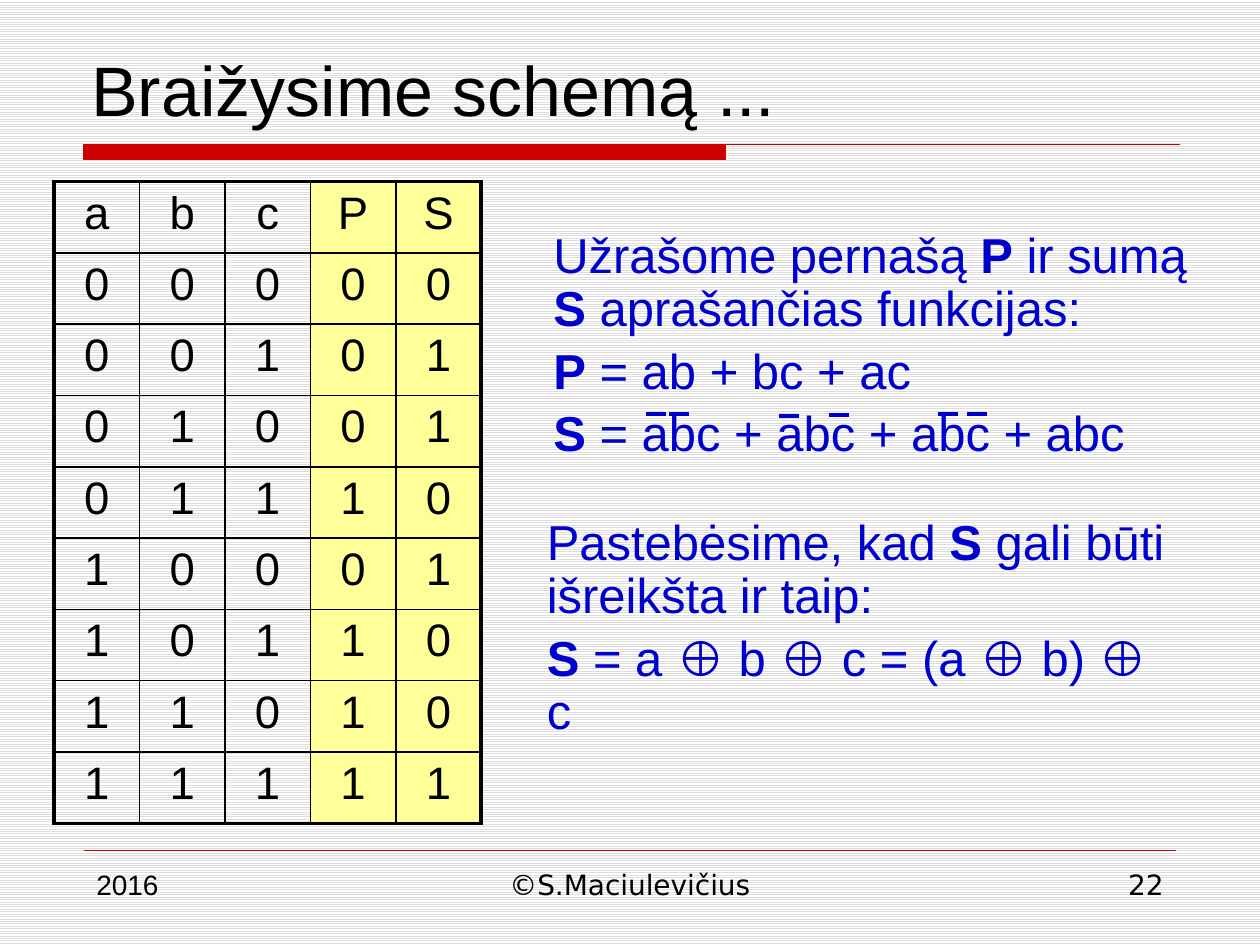
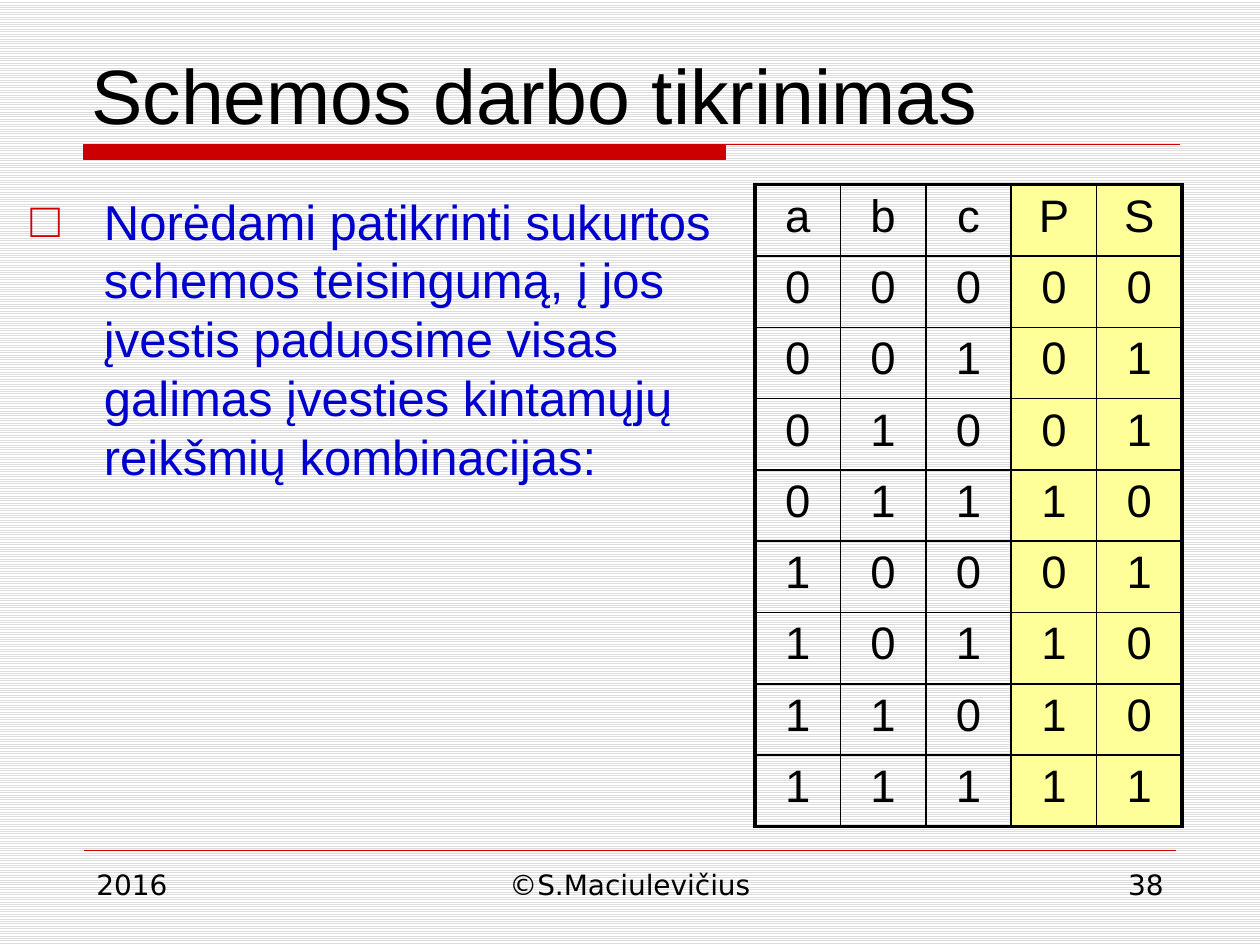
from pptx import Presentation
from pptx.dml.color import RGBColor as RGB
from pptx.enum.dml import MSO_PATTERN
from pptx.enum.shapes import MSO_CONNECTOR as LINK
from pptx.enum.text import MSO_ANCHOR as ANCHOR, MSO_AUTO_SIZE as AUTO, PP_ALIGN as ALIGN
from pptx.oxml import parse_xml
from pptx.oxml.ns import nsdecls
from pptx.util import Inches, Pt

COLS, ROWS = 120, 90
WIDE, HIGH = Inches(10), Inches(7.5)
HUE = {"ink": "000000", "red": "CC0000", "blue": "0000CC",
       "mark": "FFFF99", "rule": "DDDDDD", "page": "FFFFFF"}
SANS, FOOT = "Arial", "DejaVu Sans"
HEAD = "abcPS"


def rgb(name):
    return RGB.from_string(HUE[name])


def node(tag, attrs="", inner=""):
    return parse_xml(f"<a:{tag} {nsdecls('a')} {attrs}>{inner}</a:{tag}>")


def solid(name):
    return f'<a:solidFill><a:srgbClr val="{HUE[name]}"/></a:solidFill>'


def write(frame, text, size=28, hue="ink", font=SANS, align=ALIGN.LEFT,
          lead=1.0, gap=0.0, hang=0.0, mark=None):
    """Fill a frame: one paragraph a line, *stars* turn bold on and off.

    gap is a share of the text size; hang is the mark's indent in columns.
    """
    frame.word_wrap = True
    for i, line in enumerate(text.split("\n")):
        para = frame.add_paragraph() if i else frame.paragraphs[0]
        para.alignment, para.line_spacing = align, lead
        para.space_before = Pt(size * gap)
        props = para._p.get_or_add_pPr()
        dent = int(hang * WIDE / COLS)
        props.set("marL", str(dent))
        props.set("indent", str(-dent))
        if mark:
            props.append(node("buClr", inner=f'<a:srgbClr val="{HUE["red"]}"/>'))
            props.append(node("buChar", f'char="{mark}"'))
        else:
            props.append(node("buNone"))
        for j, part in enumerate(line.split("*")):
            if part:
                run = para.add_run()
                run.text = part
                run.font.size, run.font.name = Pt(size), font
                run.font.bold = j % 2 == 1
                run.font.color.rgb = rgb(hue)


def truth():
    """Rows of a full adder: inputs a, b, c, carry P and sum S."""
    for n in range(8):
        bits = [n >> 2 & 1, n >> 1 & 1, n & 1]
        yield bits + [sum(bits) // 2, sum(bits) % 2]


class Deck:
    """Holds the style and the slide being drawn; lengths are grid units."""

    def __init__(self):
        self.file = Presentation()
        self.file.slide_width, self.file.slide_height = WIDE, HIGH
        back = self.file.slide_master.background.fill
        back.patterned()
        back.pattern = MSO_PATTERN.LIGHT_HORIZONTAL
        back.fore_color.rgb, back.back_color.rgb = rgb("rule"), rgb("page")
        self.slide = None

    def grid(self, x, y):
        return round(x * WIDE / COLS), round(y * HIGH / ROWS)

    def place(self, shape, x, y, w, h):
        shape.left, shape.top = self.grid(x, y)
        shape.width, shape.height = self.grid(w, h)

    def start(self, title, page, size, lead=1.0, font=FOOT):
        """Open a slide with its title, band, rule and footer."""
        self.slide = self.file.slides.add_slide(self.file.slide_layouts[1])
        self.band()
        self.line(8, 81, 104, "red", 0.25)
        self.hold(0, (7.5, 4, 105, 9.8), title, ANCHOR.MIDDLE, size=size, lead=lead)
        self.text((8, 82, 26, 6.2), "2016", size=16, font=font)
        self.text((41, 82, 38, 6.2), "©S.Maciulevičius", size=16, font=FOOT,
                  align=ALIGN.CENTER)
        self.text((86, 82, 26, 6.2), str(page), size=16, font=FOOT, align=ALIGN.RIGHT)

    def band(self):
        left, mid, right, top, foot = 8, 69.1, 112.4, 13.8, 15.2
        pen = self.slide.shapes.build_freeform(*self.grid(left, top))
        pen.add_line_segments([self.grid(mid, top), self.grid(mid, foot),
                               self.grid(left, foot)], close=True)
        pen.move_to(*self.grid(left, top))
        pen.add_line_segments([self.grid(right, top)], close=False)
        shape = pen.convert_to_shape()
        shape.shadow.inherit = False
        shape.fill.solid()
        shape.fill.fore_color.rgb = shape.line.color.rgb = rgb("red")
        shape.line.width = Pt(0.75)

    def line(self, x, y, span, hue, width):
        ends = self.grid(x, y) + self.grid(x + span, y)
        link = self.slide.shapes.add_connector(LINK.STRAIGHT, *ends)
        link.line.color.rgb, link.line.width = rgb(hue), Pt(width)
        link._element.spPr.append(node("effectLst"))

    def hold(self, slot, box, text, anchor=ANCHOR.TOP, **form):
        """Move and fill the placeholder with this index."""
        shape = self.slide.placeholders[slot]
        self.place(shape, *box)
        shape.text_frame.auto_size = AUTO.NONE
        shape.text_frame.vertical_anchor = anchor
        write(shape.text_frame, text, **form)

    def text(self, box, text, **form):
        shape = self.slide.shapes.add_textbox(0, 0, 0, 0)
        self.place(shape, *box)
        write(shape.text_frame, text, **form)

    def table(self, x, y, col=8.14, row=6.79):
        data = [list(HEAD), *truth()]
        rows, cols = len(data), len(HEAD)
        box = self.grid(x, y) + self.grid(col * cols, row * rows)
        table = self.slide.shapes.add_table(rows, cols, *box).table
        table.first_row = table.horz_banding = False
        for r, vals in enumerate(data):
            for c, val in enumerate(vals):
                cell = table.cell(r, c)
                write(cell.text_frame, str(val), size=26, align=ALIGN.CENTER, gap=0.2)
                self.edge(cell, L=c == 0, R=c == cols - 1, T=r == 0, B=r == rows - 1)
                if HEAD[c] in "PS":
                    cell.fill.solid()
                    cell.fill.fore_color.rgb = rgb("mark")
                else:
                    cell.fill.background()

    def edge(self, cell, **sides):
        """Draw cell borders; a true side is an outer, thick one."""
        props = cell._tc.get_or_add_tcPr()
        for side, outer in sides.items():
            width = Pt(2.25 if outer else 1)
            props.append(node(f"ln{side}", f'w="{width}"', solid("ink")))


def main():
    deck = Deck()
    prose = {"hue": "blue", "gap": 0.2}

    deck.start("Braižysime schemą ...", 22, size=40, lead=0.93, font=SANS)
    deck.hold(1, (51.5, 21.4, 63.2, 33.1),
              "Užrašome pernašą *P* ir sumą *S* aprašančias funkcijas:\n"
              "*P* = ab + bc + ac\n"
              "*S *= abc + abc + abc + abc", lead=0.9, **prose)
    deck.table(5.15, 17.3)
    bars = [(61.55, 39.4), (63.7, 39.4), (74.15, 39.6),
            (78.95, 39.5), (89.3, 39.4), (92.1, 39.4)]
    for x, y in bars:
        deck.line(x, y, 1.9, "blue", 2.25)
    deck.text((50.9, 48.8, 63.2, 33.1),
              "Pastebėsime, kad *S* gali būti išreikšta ir taip:\n"
              "*S* = a ⊕ b ⊕ c = (a ⊕ b) ⊕ c", lead=0.9, **prose)

    deck.start("Schemos darbo tikrinimas", 38, size=44)
    deck.hold(1, (1.7, 17.6, 68.8, 59.5),
              "Norėdami patikrinti sukurtos schemos teisingumą, į jos įvestis "
              "paduosime visas galimas įvesties kintamųjų reikšmių kombinacijas:",
              hang=7, mark="□", **prose)
    deck.table(71.9, 17.6)
    deck.file.save("out.pptx")


if __name__ == "__main__":
    main()
